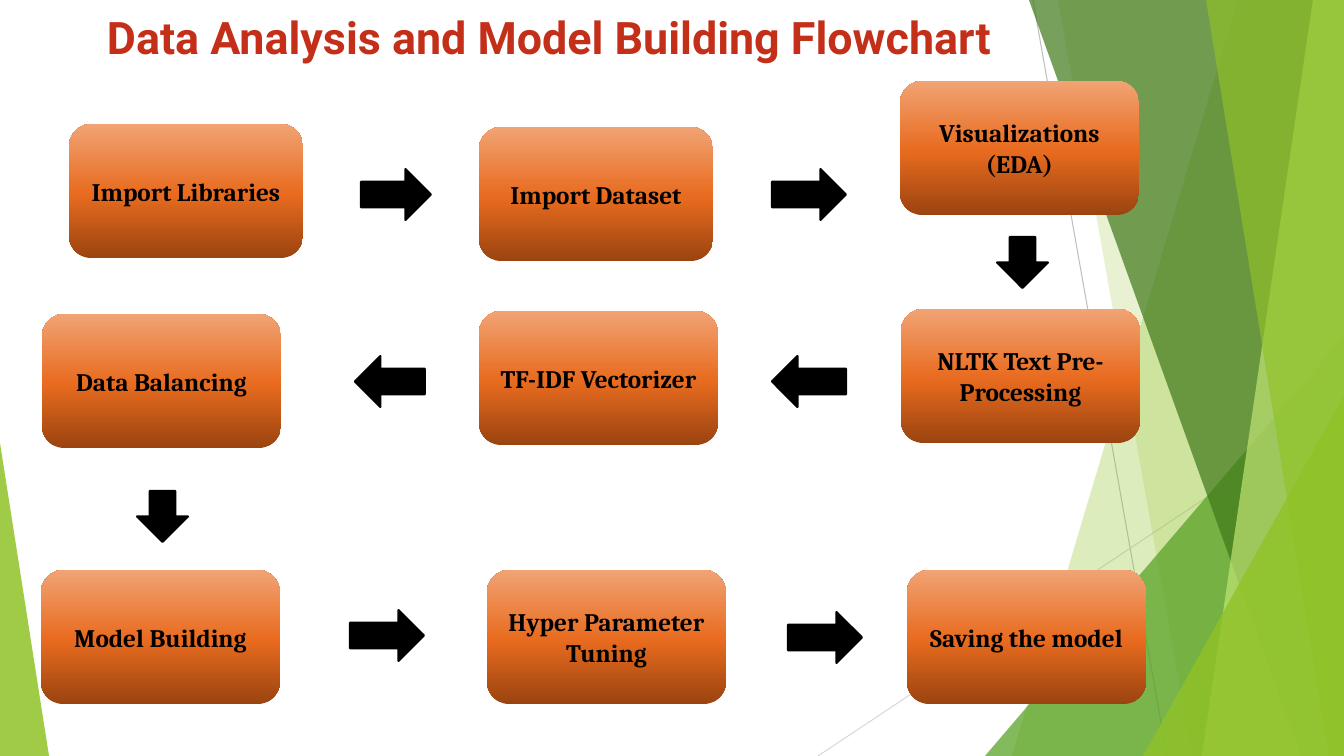
"""Build the data analysis and model building flowchart slide."""
import copy

import lxml.etree
import pptx
import pptx.util
from pptx.dml.color import RGBColor
from pptx.enum.shapes import MSO_CONNECTOR, MSO_SHAPE
from pptx.enum.text import MSO_ANCHOR, PP_ALIGN
from pptx.oxml.ns import qn

WIDE, HIGH = 1344, 756
SCALE = 12192000 / WIDE

THEME = {
    "title": ("Roboto", 32, "C42F1A"),
    "step": ("Cambria", 18, "000000"),
    "arrow": "000000",
    "stops": [(0, "9B4410"), (0.48, "E86B1F"), (1, "F1A374")],
    "lime": "90C226",
    "green": "54A021",
    "dark": "3F7819",
    "pale": "C0E474",
    "rule": "BFBFBF",
    "faint": "D9D9D9",
}

TITLE = ("Data Analysis and Model Building Flowchart", (0, 5, 1099, 95))

RULES = [
    ((1033, 0, 1167, HIGH), "rule"),
    ((WIDE, 406, 818, HIGH), "faint"),
]

# Each band runs from its top x to its bottom x and fills to the right edge.
BANDS = [
    ("band", (1238, 1012), "lime", 30),
    ("band", (1058, 1192), "lime", 20),
    ("wedge", (985, 336, 359, 420, 1), "green", 72),
    ("band", (1029, 1301), "dark", 70),
    ("band", (1313, 1202), "pale", 70),
    ("band", (1206, 1329), "lime", 65),
    ("wedge", (1143, 396, 201, 360, 1), "lime", 80),
    ("wedge", (0, 443, 49, 313, 0), "lime", 85),
]

STEP_HIGH = 134
STEPS = [
    (69, 124, 234, ["Import Libraries"]),
    (479, 127, 234, ["Import Dataset"]),
    (900, 81, 239, ["Visualizations", "(EDA)"]),
    (901, 309, 239, ["NLTK Text Pre-Processing"]),
    (479, 311, 239, ["TF-IDF Vectorizer"]),
    (42, 314, 239, ["Data Balancing"]),
    (41, 570, 239, ["Model Building"]),
    (487, 570, 239, ["Hyper Parameter Tuning"]),
    (907, 570, 239, ["Saving the model"]),
]

ARROW_HIGH = 51
ARROWS = [
    ("RIGHT", 361, 169, 70),
    ("RIGHT", 772, 169, 74),
    ("DOWN", 997, 237, 51),
    ("LEFT", 772, 356, 74),
    ("LEFT", 355, 356, 70),
    ("DOWN", 137, 491, 51),
    ("RIGHT", 350, 610, 74),
    ("RIGHT", 788, 612, 74),
]


def px(*nums):
    return [round(n * SCALE) for n in nums]


def hue(code):
    return RGBColor.from_string(code)


def paint(shape, code, alpha=100):
    shape.shadow.inherit = False
    shape.fill.solid()
    shape.fill.fore_color.rgb = hue(code)
    shape.line.fill.background()
    if alpha < 100:
        tint = shape.fill._xPr.find(".//" + qn("a:srgbClr"))
        lxml.etree.SubElement(tint, qn("a:alpha"), val=str(alpha * 1000))


def shade(shape):
    shape.shadow.inherit = False
    shape.line.fill.background()
    shape.fill.gradient()
    stops = shape._element.spPr.find(".//" + qn("a:gsLst"))
    stops.append(copy.deepcopy(stops[0]))
    for stop, (place, code) in zip(shape.fill.gradient_stops, THEME["stops"]):
        stop.position = place
        stop.color.rgb = hue(code)
    shape.fill.gradient_angle = 90


def write(shape, lines, style):
    name, size, code = THEME[style]
    frame = shape.text_frame
    frame.word_wrap = True
    frame.text = "\n".join(lines)
    for para in frame.paragraphs:
        para.alignment = PP_ALIGN.CENTER
        font = para.font
        font.name, font.size, font.bold = name, pptx.util.Pt(size), True
        font.color.rgb = hue(code)
    return frame


def draw_back(shapes):
    for ends, key in RULES:
        rule = shapes.add_connector(MSO_CONNECTOR.STRAIGHT, *px(*ends))
        rule.line.color.rgb = hue(THEME[key])
        rule.line.width = pptx.util.Pt(0.75)
        lxml.etree.SubElement(rule._element.spPr, qn("a:effectLst"))
    for kind, place, key, alpha in BANDS:
        if kind == "band":
            top, base = place
            pen = shapes.build_freeform(top, 0, SCALE)
            pen.add_line_segments([(WIDE, 0), (WIDE, HIGH), (base, HIGH)])
            shape = pen.convert_to_shape()
        else:
            *box, peak = place
            shape = shapes.add_shape(MSO_SHAPE.ISOSCELES_TRIANGLE, *px(*box))
            shape.adjustments[0] = peak
        paint(shape, THEME[key], alpha)


def draw_flow(shapes):
    for left, top, wide, lines in STEPS:
        box = px(left, top, wide, STEP_HIGH)
        step = shapes.add_shape(MSO_SHAPE.FLOWCHART_ALTERNATE_PROCESS, *box)
        shade(step)
        write(step, lines, "step").vertical_anchor = MSO_ANCHOR.MIDDLE
    for way, left, top, wide in ARROWS:
        box = px(left, top, wide, ARROW_HIGH)
        arrow = shapes.add_shape(MSO_SHAPE[way + "_ARROW"], *box)
        paint(arrow, THEME["arrow"])
        arrow.line.color.rgb = hue(THEME["arrow"])
        arrow.line.width = pptx.util.Pt(1.5)


def main():
    deck = pptx.Presentation()
    deck.slide_width, deck.slide_height = px(WIDE, HIGH)
    shapes = deck.slides.add_slide(deck.slide_layouts[6]).shapes
    draw_back(shapes)
    text, box = TITLE
    write(shapes.add_textbox(*px(*box)), [text], "title")
    draw_flow(shapes)
    deck.save("out.pptx")


if __name__ == "__main__":
    main()
